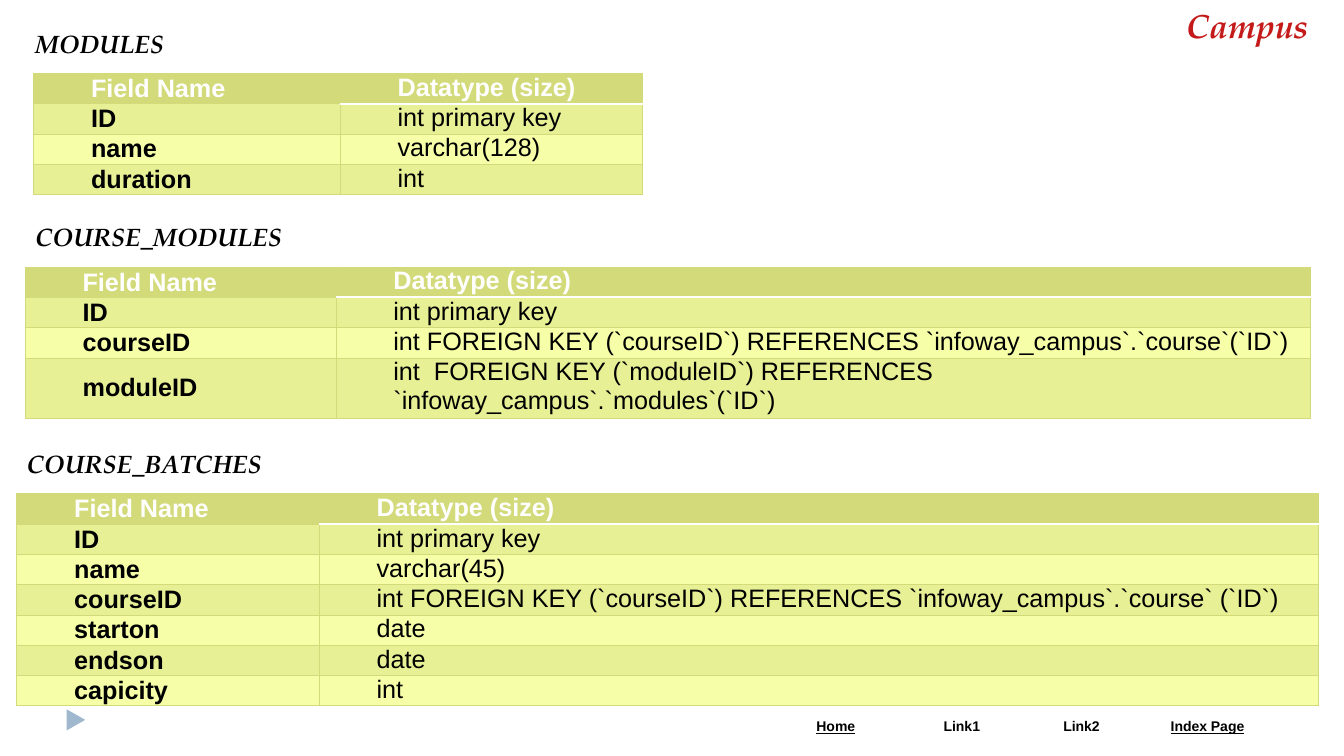
from lxml import etree
from pptx import Presentation
from pptx.dml.color import RGBColor
from pptx.enum.shapes import MSO_SHAPE
from pptx.enum.text import MSO_ANCHOR, MSO_AUTO_SIZE, PP_ALIGN
from pptx.oxml.ns import qn
from pptx.util import Inches, Pt

TRIANGLE = MSO_SHAPE.ISOSCELES_TRIANGLE
TOP, MIDDLE = MSO_ANCHOR.TOP, MSO_ANCHOR.MIDDLE
LEFT, CENTER, RIGHT = PP_ALIGN.LEFT, PP_ALIGN.CENTER, PP_ALIGN.RIGHT
NO_AUTOFIT = MSO_AUTO_SIZE.NONE
TITLE_ONLY = 5

COLORS = {
    "olive": "D2DA7A",
    "band": "E8F096",
    "pale": "F6FFA8",
    "white": "FFFFFF",
    "black": "000000",
    "red": "C41A1A",
    "marker": "9FB8CD",
}
SERIF, SANS = "TeX Gyre Pagella", "Arial"

# The page is a grid of 160 by 90 square units.
UNIT = Inches(7.5) / 90
ROW_HEIGHT = 3.6
HEADING_RISE = 6

HEADER = ("Field Name", "Datatype (size)")
# heading, heading left and width, table left and top, column widths, fields
SCHEMAS = [
    ("MODULES", 3, 18.75, 4, 8.75, (36.5, 36),
     [("ID", "int primary key"),
      ("name", "varchar(128)"),
      ("duration", "int")]),
    ("COURSE_MODULES", 3, 32, 3, 31.8, (37, 116),
     [("ID", "int primary key"),
      ("courseID", "int FOREIGN KEY (`courseID`) REFERENCES `infoway_campus`.`course`(`ID`)"),
      ("moduleID", "int  FOREIGN KEY (`moduleID`) REFERENCES `infoway_campus`.`modules`(`ID`)")]),
    ("COURSE_BATCHES", 2, 31, 2, 58.8, (36, 119),
     [("ID", "int primary key"),
      ("name", "varchar(45)"),
      ("courseID", "int FOREIGN KEY (`courseID`) REFERENCES `infoway_campus`.`course` (`ID`)"),
      ("starton", "date"),
      ("endson", "date"),
      ("capicity", "int")]),
]
TWO_LINE_FIELDS = {"moduleID"}
# label, column width, underlined
NAVIGATION = [("Home", 15, True), ("Link1", 15, False),
              ("Link2", 13.5, False), ("Index Page", 16.5, True)]


def grid(*units):
    return [round(unit * UNIT) for unit in units]


def color(name):
    return RGBColor.from_string(COLORS[name])


def style(para, face, size, color_name, bold=True, italic=False, align=LEFT):
    para.alignment = align
    font = para.font
    font.name, font.size = face, Pt(size)
    font.bold, font.italic = bold, italic
    font.color.rgb = color(color_name)


def set_border(cell, side, color_name, width):
    line = etree.SubElement(cell._tc.get_or_add_tcPr(), qn(f"a:ln{side}"), w=str(Pt(width)))
    fill = etree.SubElement(line, qn("a:solidFill"))
    etree.SubElement(fill, qn("a:srgbClr"), val=COLORS[color_name])


def set_cell(cell, text, fill_name, margins):
    """Fill a cell with text; margins are the side and the top margin in inches."""
    side, top = (Inches(margin) for margin in margins)
    cell.margin_left = cell.margin_right = side
    cell.margin_top = cell.margin_bottom = top
    cell.fill.solid()
    cell.fill.fore_color.rgb = color(fill_name)
    cell.text = text
    return cell.text_frame.paragraphs[0]


def add_plain_table(page, left, top, widths, heights):
    frame = page.shapes.add_table(len(heights), len(widths),
                                  *grid(left, top, sum(widths), sum(heights)))
    table = frame.table
    table.horz_banding = False
    for column, width in zip(table.columns, grid(*widths)):
        column.width = width
    for row, height in zip(table.rows, grid(*heights)):
        row.height = height
    return table


def add_title(page, text):
    title = page.shapes.title
    title.left, title.top, title.width, title.height = grid(3.1, 0, 153.9, 6)
    frame = title.text_frame
    frame.text = text
    frame.auto_size = NO_AUTOFIT
    frame.vertical_anchor = TOP
    style(frame.paragraphs[0], SERIF, 24, "red", italic=True, align=RIGHT)


def add_heading(page, text, left, top, width):
    box = page.shapes.add_textbox(*grid(left, top, width, 4.8))
    box.text_frame.word_wrap = True
    box.text_frame.text = text
    style(box.text_frame.paragraphs[0], SERIF, 18, "black", italic=True)


def add_schema_table(page, left, top, widths, fields):
    heights = [ROW_HEIGHT * (2 if name in TWO_LINE_FIELDS else 1)
               for name, _ in [HEADER] + fields]
    table = add_plain_table(page, left, top, widths, heights)
    for r, texts in enumerate([HEADER] + fields):
        is_header = r == 0
        fill_name = "olive" if is_header else ("pale", "band")[r % 2]
        for c, text in enumerate(texts):
            cell = table.cell(r, c)
            for side in "LRTB":
                under_header = c == 1 and (r, side) in ((0, "B"), (1, "T"))
                set_border(cell, side, *(("white", 1.5) if under_header else ("olive", 0.75)))
            para = set_cell(cell, text, fill_name, (0.07, 0))
            cell.vertical_anchor = MIDDLE if c == 0 else TOP
            properties = para._p.get_or_add_pPr()
            properties.set("marL", str(Inches(0.5)))
            properties.set("indent", "0")
            style(para, SANS, 18, "white" if is_header else "black",
                  bold=is_header or c == 0)


def add_navigation(page):
    widths = [width for _, width, _ in NAVIGATION]
    table = add_plain_table(page, 92, 85, widths, [3.25])
    for c, (label, _, underlined) in enumerate(NAVIGATION):
        para = set_cell(table.cell(0, c), label, "white", (0.13, 0.05))
        style(para, SANS, 10, "black", align=CENTER)
        para.font.underline = underlined


def add_marker(page):
    marker = page.shapes.add_shape(TRIANGLE, *grid(7.8, 84.6, 2.5, 2.2))
    marker.rotation = 90
    marker.shadow.inherit = False
    marker.fill.solid()
    marker.fill.fore_color.rgb = color("marker")
    marker.line.fill.background()


def main():
    deck = Presentation()
    deck.slide_width, deck.slide_height = grid(160, 90)
    page = deck.slides.add_slide(deck.slide_layouts[TITLE_ONLY])
    add_marker(page)
    add_navigation(page)
    for heading, heading_left, heading_width, left, top, widths, fields in SCHEMAS:
        add_heading(page, heading, heading_left, top - HEADING_RISE, heading_width)
        add_schema_table(page, left, top, widths, fields)
    add_title(page, "Campus")
    deck.save("out.pptx")


if __name__ == "__main__":
    main()
